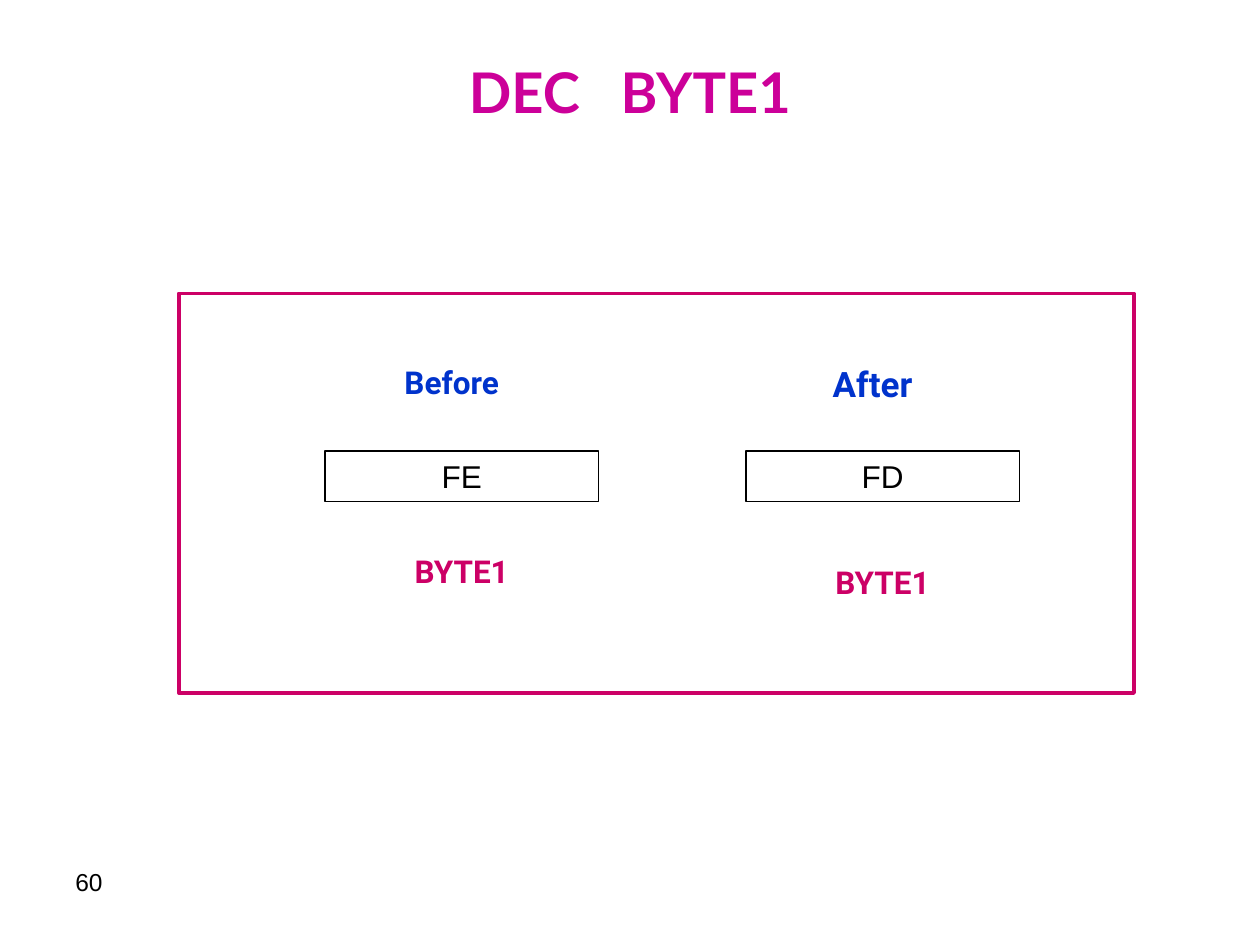
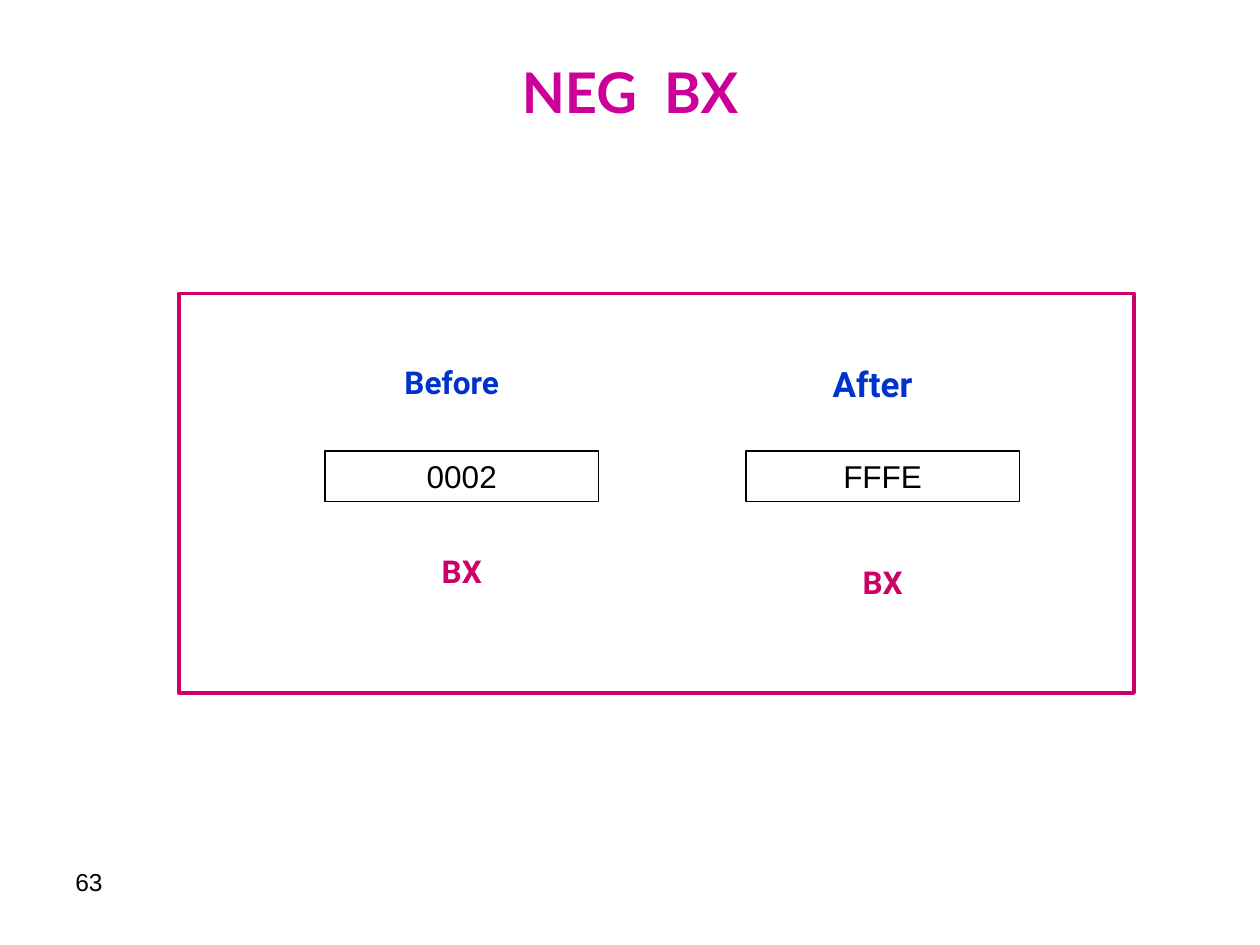
import dataclasses

import pptx
import pptx.dml.color
import pptx.enum.shapes
import pptx.enum.text
import pptx.util

Inches = pptx.util.Inches
Pt = pptx.util.Pt
Align = pptx.enum.text.PP_ALIGN
Anchor = pptx.enum.text.MSO_ANCHOR
AutoSize = pptx.enum.text.MSO_AUTO_SIZE


@dataclasses.dataclass(frozen=True)
class Theme:
    title_color: str = "CC0099"
    accent: str = "CC0066"
    heading_color: str = "0033CC"
    ink: str = "000000"
    title_font: str = "Lato"
    label_font: str = "Roboto"
    value_font: str = "Arial"
    title_size: int = 32
    after_size: int = 20
    body_size: int = 18
    number_size: int = 14
    frame_line: float = 2.25
    cell_line: float = 0.75


THEME = Theme()
COLUMN_LEFT = 2.58
COLUMN_STEP = 3.34
COLUMN_WIDTH = 2.17
ROW_HEIGHT = 0.4


def rgb(value):
    return pptx.dml.color.RGBColor.from_string(value)


def write_text(holder, text, *, font=THEME.value_font, size=THEME.body_size,
               color=THEME.ink, bold=False, align=Align.CENTER,
               anchor=Anchor.TOP, fit=AutoSize.SHAPE_TO_FIT_TEXT):
    frame = holder.text_frame
    frame.word_wrap = True
    frame.auto_size = fit
    frame.vertical_anchor = anchor
    paragraph = frame.paragraphs[0]
    paragraph.alignment = align
    run = paragraph.add_run()
    run.text = text
    run.font.name = font
    run.font.size = Pt(size)
    run.font.bold = bold
    run.font.color.rgb = rgb(color)


def set_title(slide, text):
    title = slide.shapes.title
    title.left, title.top = Inches(0.5), Inches(0.3)
    title.width, title.height = Inches(9), Inches(0.85)
    write_text(title, text, font=THEME.title_font, size=THEME.title_size,
               color=THEME.title_color, bold=True, anchor=Anchor.MIDDLE,
               fit=AutoSize.NONE)


def add_outline(slide, left, top, width, height, color, weight):
    outline = slide.shapes.add_shape(
        pptx.enum.shapes.MSO_SHAPE.RECTANGLE,
        Inches(left), Inches(top), Inches(width), Inches(height))
    outline.shadow.inherit = False
    outline.fill.background()
    outline.line.color.rgb = rgb(color)
    outline.line.width = Pt(weight)
    return outline


def add_label(slide, text, left, top, width=COLUMN_WIDTH, height=ROW_HEIGHT,
              **text_format):
    label = slide.shapes.add_textbox(
        Inches(left), Inches(top), Inches(width), Inches(height))
    write_text(label, text, **text_format)


def add_state(slide, column, heading, value, operand, heading_size, operand_top):
    left = COLUMN_LEFT + column * COLUMN_STEP
    cell = add_outline(slide, left, 3.58, COLUMN_WIDTH, ROW_HEIGHT,
                       THEME.ink, THEME.cell_line)
    write_text(cell, value)
    add_label(slide, heading, left - 0.08, 2.83, font=THEME.label_font,
              size=heading_size, color=THEME.heading_color, bold=True)
    add_label(slide, operand, left, operand_top, font=THEME.label_font,
              color=THEME.accent, bold=True)


def add_instruction_slide(deck, title, number, operand, before, after):
    slide = deck.slides.add_slide(deck.slide_layouts.get_by_name("Title Only"))
    set_title(slide, title)
    add_label(slide, number, 0.5, 6.83, 2.33, 0.52, size=THEME.number_size,
              align=Align.LEFT, fit=AutoSize.NONE)
    add_outline(slide, 1.42, 2.33, 7.58, 3.17, THEME.accent, THEME.frame_line)
    add_state(slide, 0, "Before", before, operand, THEME.body_size, 4.33)
    add_state(slide, 1, "After", after, operand, THEME.after_size, 4.42)


def main():
    deck = pptx.Presentation()
    deck.slide_width, deck.slide_height = Inches(10), Inches(7.5)
    add_instruction_slide(deck, "DEC   BYTE1", "60", "BYTE1", "FE", "FD")
    add_instruction_slide(deck, "NEG  BX", "63", "BX", "0002", "FFFE")
    deck.save("out.pptx")


if __name__ == "__main__":
    main()
